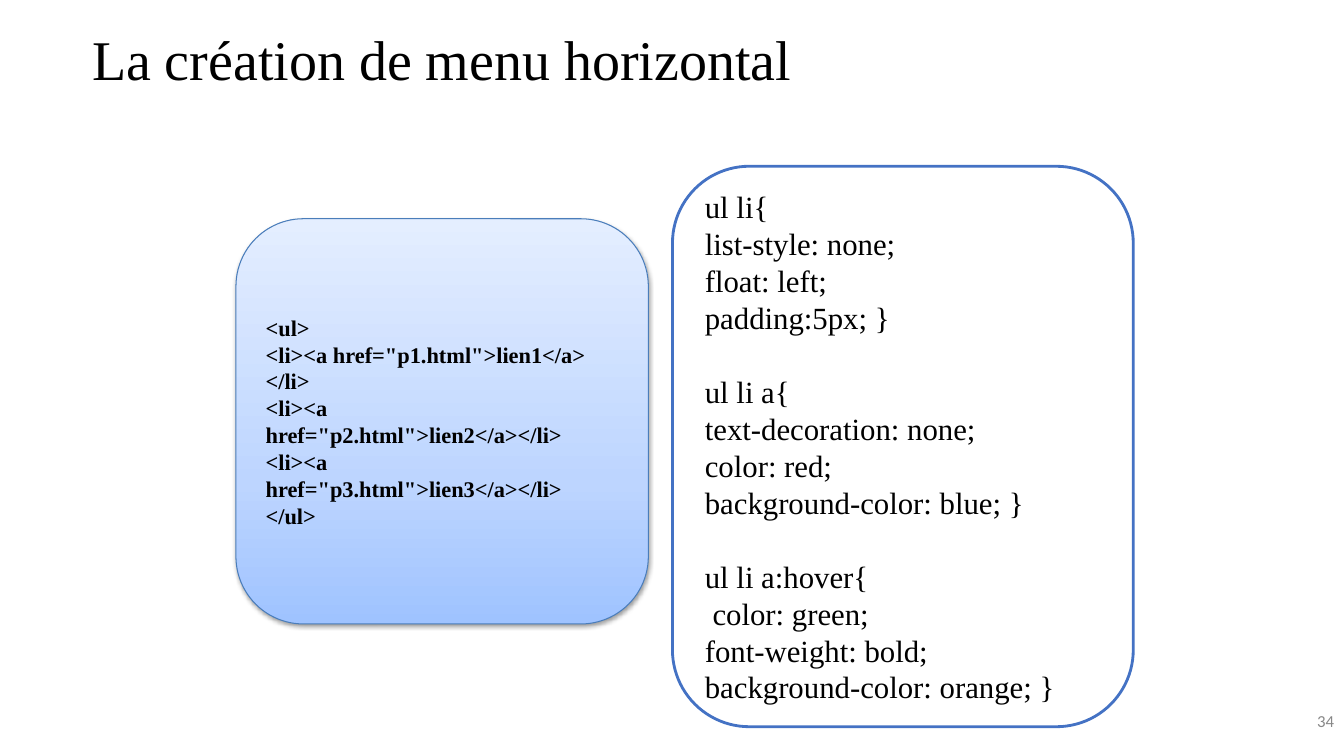
import copy
from dataclasses import dataclass

import pptx
import pptx.dml.color
import pptx.enum.shapes
import pptx.enum.text
import pptx.oxml
import pptx.oxml.ns
import pptx.util

Inches = pptx.util.Inches
Pt = pptx.util.Pt
ALIGN = pptx.enum.text.PP_ALIGN
ANCHOR = pptx.enum.text.MSO_ANCHOR


def rgb(code):
    return pptx.dml.color.RGBColor.from_string(code)


@dataclass(frozen=True)
class Theme:
    serif: str = "Times New Roman"
    sans: str = "Calibri"
    ink: str = "000000"
    muted: str = "888888"
    paper: str = "FFFFFF"
    css_line: str = "4472C4"
    html_line: str = "4A7DBA"
    html_stops: tuple = ((0, "9FC3FF"), (0.35, "BDD5FF"), (1, "E4EEFF"))
    title_size: int = 40
    css_size: int = 22
    html_size: int = 16
    number_size: int = 12


THEME = Theme()

HTML_LINES = [
    "<ul>",
    '<li><a href="p1.html">lien1</a> </li>',
    '<li><a href="p2.html">lien2</a></li>',
    '<li><a href="p3.html">lien3</a></li>',
    "</ul>",
]
CSS_RULES = [
    ["ul li{", "list-style: none;", "float: left;", "padding:5px; }"],
    ["ul li a{", "text-decoration: none;", "color: red;", "background-color: blue; }"],
    ["ul li a:hover{", " color: green;", "font-weight: bold;", "background-color: orange; }"],
]


def set_all(target, values):
    for name, value in values.items():
        setattr(target, name, value)


def place(part, box):
    edges = map(Inches, box)
    set_all(part, dict(zip(("left", "top", "width", "height"), edges)))


def write(frame, rules, font, align, anchor, gap=0):
    """Write groups of lines, with gap points above each group after the first."""
    set_all(frame, {"word_wrap": True, "vertical_anchor": anchor,
                    "auto_size": pptx.enum.text.MSO_AUTO_SIZE.NONE})
    color = font.pop("color")
    lines = [(text, gap if i and not j else 0)
             for i, rule in enumerate(rules) for j, text in enumerate(rule)]
    for index, (text, space) in enumerate(lines):
        line = frame.add_paragraph() if index else frame.paragraphs[0]
        set_all(line, {"alignment": align, "space_before": Pt(space)})
        run = line.add_run()
        run.text = text
        set_all(run.font, font)
        run.font.color.rgb = rgb(color)


def add_panel(slide, box, line_color, line_width):
    panel = slide.shapes.add_shape(
        pptx.enum.shapes.MSO_SHAPE.ROUNDED_RECTANGLE, *map(Inches, box))
    panel.shadow.inherit = False
    panel.line.color.rgb = rgb(line_color)
    panel.line.width = Pt(line_width)
    return panel


def add_css_panel(slide, box):
    panel = add_panel(slide, box, THEME.css_line, 2)
    panel.fill.solid()
    panel.fill.fore_color.rgb = rgb(THEME.paper)
    font = {"name": THEME.serif, "size": Pt(THEME.css_size), "color": THEME.ink}
    write(panel.text_frame, CSS_RULES, font, ALIGN.LEFT, ANCHOR.MIDDLE,
          gap=THEME.css_size * 1.2)


def add_html_panel(slide, box):
    panel = add_panel(slide, box, THEME.html_line, 0.75)
    shade(panel)
    drop_shadow(panel)
    font = {"name": THEME.serif, "size": Pt(THEME.html_size), "bold": True,
            "color": THEME.ink}
    write(panel.text_frame, [HTML_LINES], font, ALIGN.LEFT, ANCHOR.MIDDLE)


def shade(panel):
    """Fill the panel with the theme's stops, from bottom to top."""
    panel.fill.gradient()
    panel.fill.gradient_angle = 90
    stop_list = panel._element.spPr.find(".//" + pptx.oxml.ns.qn("a:gsLst"))
    stop_list.append(copy.deepcopy(stop_list[0]))
    for stop, (position, color) in zip(panel.fill.gradient_stops, THEME.html_stops):
        stop.color.rgb = rgb(color)
        stop.position = position


def drop_shadow(panel):
    effects = panel._element.spPr.find(pptx.oxml.ns.qn("a:effectLst"))
    effects.append(pptx.oxml.parse_xml(
        f'<a:outerShdw {pptx.oxml.ns.nsdecls("a")} blurRad="{Pt(3.1)}" '
        f'dist="{Pt(1.6)}" dir="5400000" rotWithShape="0">'
        f'<a:srgbClr val="{THEME.ink}"><a:alpha val="38000"/></a:srgbClr>'
        '</a:outerShdw>'))


def add_title(slide, box):
    title = slide.shapes.title
    place(title, box)
    font = {"name": THEME.serif, "size": Pt(THEME.title_size), "color": THEME.ink}
    write(title.text_frame, [["La création de menu horizontal"]], font,
          ALIGN.CENTER, ANCHOR.TOP)


def add_page_number(slide, box):
    number = slide.shapes.add_textbox(*map(Inches, box))
    font = {"name": THEME.sans, "size": Pt(THEME.number_size), "color": THEME.muted}
    write(number.text_frame, [["34"]], font, ALIGN.RIGHT, ANCHOR.MIDDLE)


def main():
    deck = pptx.Presentation()
    set_all(deck, {"slide_width": Inches(13.33), "slide_height": Inches(7.5)})
    slide = deck.slides.add_slide(deck.slide_layouts.get_by_name("Title Only"))
    add_page_number(slide, (11, 6.95, 2.33, 0.4))
    add_css_panel(slide, (6.67, 1.65, 4.57, 5.56))
    add_html_panel(slide, (2.34, 2.17, 4.09, 4.02))
    add_title(slide, (0.64, 0.19, 7.48, 0.77))
    deck.save("out.pptx")


if __name__ == "__main__":
    main()
